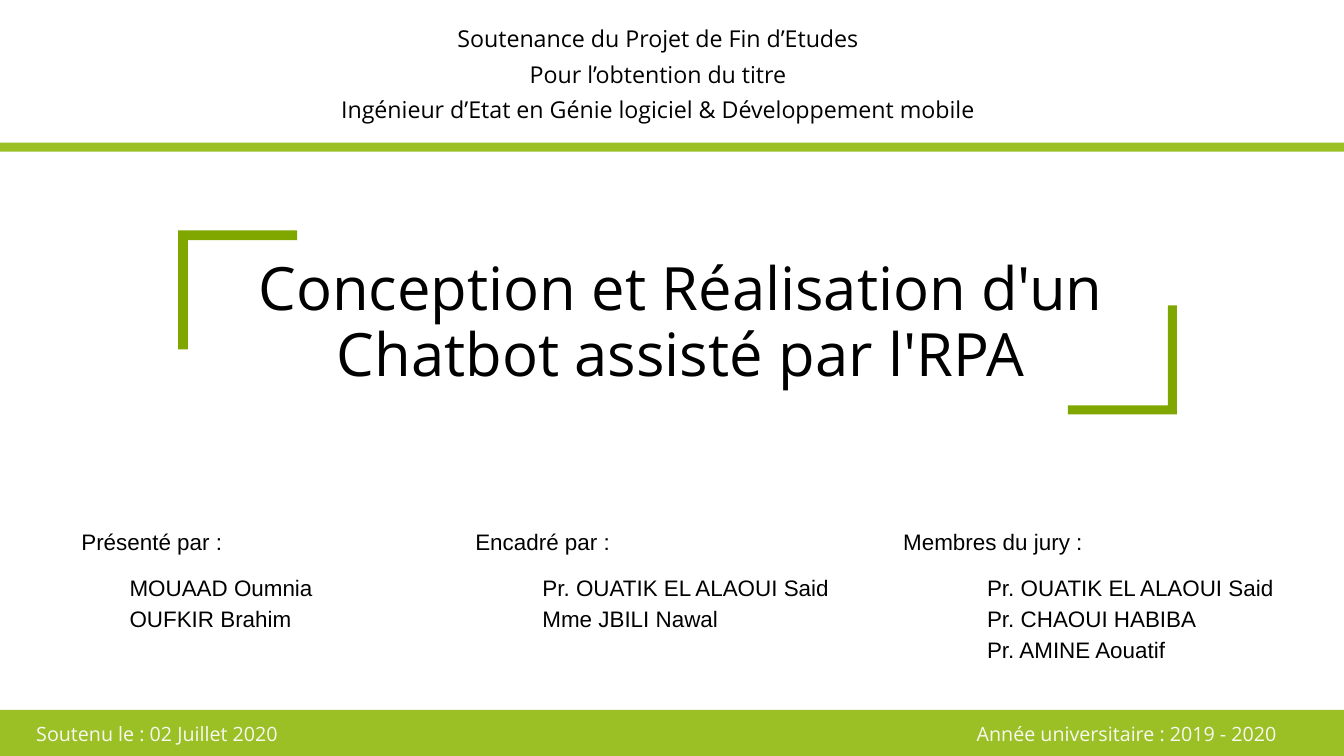
"""Build the title slide of a graduation project defence."""
from lxml import etree
from pptx import Presentation
from pptx.dml.color import RGBColor
from pptx.enum import shapes, text
from pptx.oxml.ns import qn
from pptx.util import Pt

INK = {"band": "9AC026", "frame": "80A600", "text": "000000", "pale": "F8F7F0"}
WIDE, HIGH = 1440, 810
LEFT, MID = text.PP_ALIGN.LEFT, text.PP_ALIGN.CENTER

TITLE = ["Conception et Réalisation d'un Chatbot assisté par l'RPA"]
HEAD = [
    "Soutenance du Projet de Fin d’Etudes",
    "Pour l’obtention du titre",
    "Ingénieur d’Etat en Génie logiciel & Développement mobile",
]
FOOT = ["Soutenu le : 02 Juillet 2020\tAnnée universitaire : 2019 - 2020"]
BANDS = [(152.8, 9.6), (760.6, 49.2)]
# label, left, width, alignment, names, left, width
GROUPS = [
    ("Présenté par :", 87.2, 237.6, LEFT,
     ["MOUAAD Oumnia", "OUFKIR Brahim"], 138.8, 204.5),
    ("Encadré par :", 504.6, 153.4, MID,
     ["Pr. OUATIK EL ALAOUI Said", "Mme JBILI Nawal"], 581.2, 324),
    ("Membres du jury :", 960.4, 206.6, MID,
     ["Pr. OUATIK EL ALAOUI Said", "Pr. CHAOUI HABIBA", "Pr. AMINE Aouatif"],
     1057.6, 350.6),
]
# outer corner x and y, arm length, thickness, direction
FRAME = [(190.8, 246.8, 127.6, 10.4, 1), (1261, 444, 116.8, 9.6, -1)]


def paint(shape, tone):
    shape.shadow.inherit = False
    shape.fill.solid()
    shape.fill.fore_color.rgb = RGBColor.from_string(INK[tone])
    shape.line.fill.background()


def write(box, lines, size, step, font="Open Sans", tone="text", align=LEFT, tab=None):
    frame = box.text_frame
    frame.word_wrap = True
    frame.auto_size = text.MSO_AUTO_SIZE.NONE
    frame.vertical_anchor = text.MSO_ANCHOR.TOP
    frame.margin_left = frame.margin_right = frame.margin_top = frame.margin_bottom = 0
    frame.text = "\n".join(lines)
    for para in frame.paragraphs:
        if tab:
            stops = etree.SubElement(para._p.get_or_add_pPr(), qn("a:tabLst"))
            etree.SubElement(stops, qn("a:tab"), pos=str(Pt(tab)), algn="r")
        para.alignment = align
        para.line_spacing = Pt(step)
        para.font.size = Pt(size)
        para.font.name = font
        para.font.color.rgb = RGBColor.from_string(INK[tone])


def place(slide, x, y, w, h):
    return slide.shapes.add_textbox(Pt(x), Pt(y), Pt(w), Pt(h))


def corner(slide, x, y, arm, thick, way):
    spots = [(arm, 0), (0, 0), (0, arm), (thick, arm), (thick, thick), (arm, thick)]
    points = [(Pt(x + way * a), Pt(y + way * b)) for a, b in spots]
    build = slide.shapes.build_freeform(*points[0])
    build.add_line_segments(points[1:], close=True)
    paint(build.convert_to_shape(), "frame")


def main():
    deck = Presentation()
    deck.slide_width, deck.slide_height = Pt(WIDE), Pt(HIGH)
    slide = deck.slides.add_slide(deck.slide_layouts[5])

    for y, h in BANDS:
        band = slide.shapes.add_shape(
            shapes.MSO_SHAPE.RECTANGLE, 0, Pt(y), Pt(WIDE), Pt(h))
        paint(band, "band")
    write(place(slide, 38.8, 769.6, 1401.2, 28.4), FOOT, 21.1, 29.5,
          tone="pale", tab=1329.4)
    write(place(slide, 351, 18.8, 708, 111), HEAD, 24.9, 37.6, align=MID)

    title = slide.shapes.title
    title.left, title.top, title.width, title.height = map(Pt, (234.4, 274.4, 989.6, 144))
    write(title, TITLE, 64, 71, align=MID)
    for part in FRAME:
        corner(slide, *part)

    for label, x, w, align, names, left, width in GROUPS:
        write(place(slide, x, 561, w, 33.6), [label], 24, 33.6, "Arial", align=align)
        write(place(slide, left, 610, width, 33.6 * len(names)), names, 24, 33.6, "Arial")

    deck.save("out.pptx")


if __name__ == "__main__":
    main()
